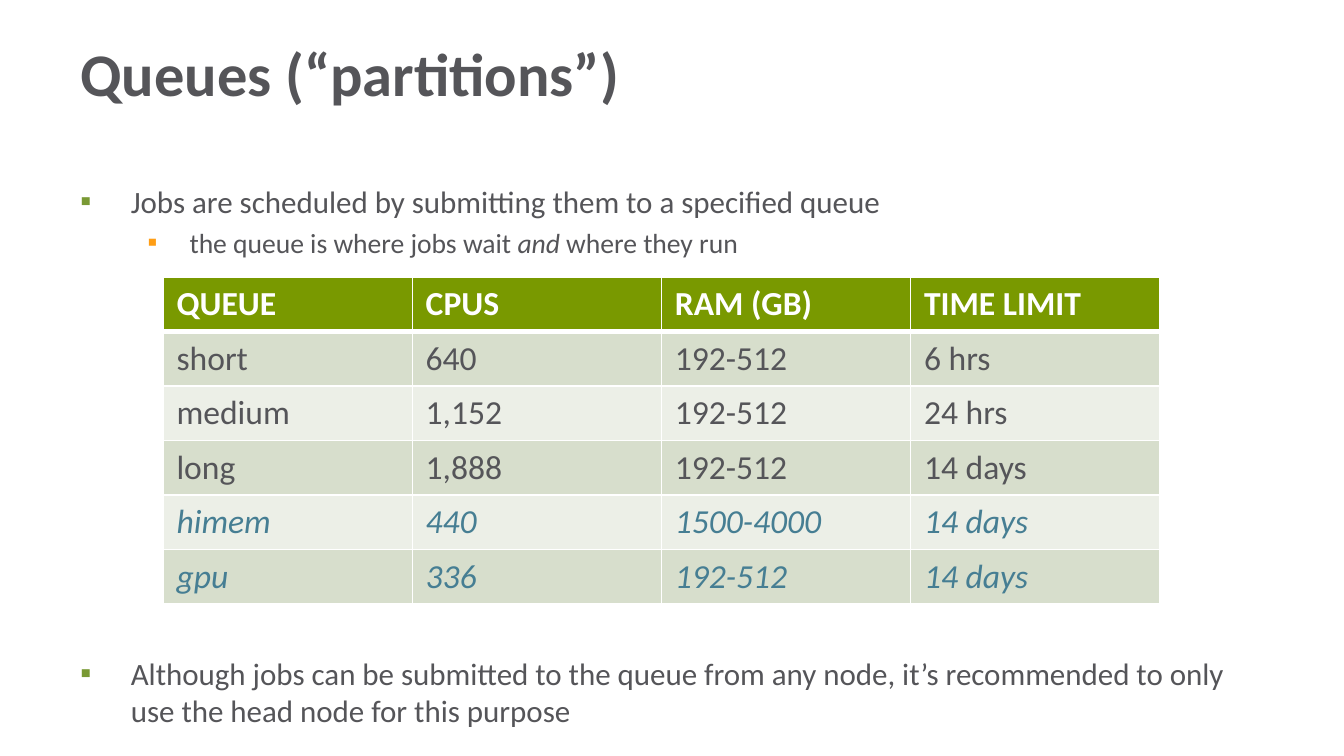
from lxml import etree
from pptx import Presentation
from pptx import util as u
from pptx.dml.color import RGBColor
from pptx.enum import text
from pptx.oxml import ns

Pt = u.Pt
HUES = {"ink": "555559", "white": "FFFFFF", "head": "799900", "dark": "D7DECC",
        "light": "ECEFE7", "teal": "467E93", "green": "799934", "gold": "FF9E15"}


def style(run, size, hue="ink", bold=False, italic=False):
    font = run.font
    font.name, font.size = "Calibri", Pt(size)
    font.bold, font.italic = bold, italic
    font.color.rgb = RGBColor.from_string(HUES[hue])


def add(node, tag, **attrs):
    """Append a drawing element to node and return it."""
    return etree.SubElement(node, ns.qn("a:" + tag), attrs)


deck = Presentation()
deck.slide_width, deck.slide_height = Pt(720), Pt(405)
slide = deck.slides.add_slide(deck.slide_layouts[6])

# Title
title = slide.shapes.add_textbox(Pt(36), Pt(17.3), Pt(580), Pt(43.2)).text_frame
title.word_wrap = True
title.vertical_anchor = text.MSO_ANCHOR.MIDDLE
title.text = "Queues (“partitions”)"
style(title.paragraphs[0].runs[0], 32.4, bold=True)

# Bullets: level, space before, size, hue, indent, hang, runs (odd ones italic).
# The last space leaves room for the table.
points = [
    (0, 0, 16.6, "green", 27, 27,
     ["Jobs are scheduled by submitting them to a specified queue"]),
    (1, 3, 14.8, "gold", 58.5, 22.5,
     ["the queue is where jobs wait ", "and", " where they run"]),
    (0, 212, 16.6, "green", 27, 27,
     ["Although jobs can be submitted to the queue from any node, "
      "it’s recommended to only use the head node for this purpose"]),
]
body = slide.shapes.add_textbox(Pt(36), Pt(94.3), Pt(648), Pt(304)).text_frame
body.word_wrap = True
for i, (level, space, size, hue, left, hang, parts) in enumerate(points):
    para = body.add_paragraph() if i else body.paragraphs[0]
    para.level = level
    para.space_before = Pt(space)
    for j, part in enumerate(parts):
        run = para.add_run()
        run.text = part
        style(run, size, italic=j % 2 == 1)
    props = para._p.get_or_add_pPr()
    props.set("marL", str(Pt(left)))
    props.set("indent", str(-Pt(hang)))
    add(add(props, "buClr"), "srgbClr", val=HUES[hue])
    add(props, "buFont", typeface="Calibri")
    add(props, "buChar", char="▪")

# Queue table
rows = [
    ("QUEUE", "CPUS", "RAM (GB)", "TIME LIMIT"),
    ("short", "640", "192-512", "6 hrs"),
    ("medium", "1,152", "192-512", "24 hrs"),
    ("long", "1,888", "192-512", "14 days"),
    ("himem", "440", "1500-4000", "14 days"),
    ("gpu", "336", "192-512", "14 days"),
]
table = slide.shapes.add_table(len(rows), 4, Pt(87.4), Pt(148.3),
                               Pt(534), Pt(175.2)).table
for r, row in enumerate(rows):
    head, special = r == 0, r >= 4
    fill = "head" if head else "dark" if r % 2 else "light"
    hue = "white" if head else "teal" if special else "ink"
    for c, word in enumerate(row):
        cell = table.cell(r, c)
        cell.text = word
        style(cell.text_frame.paragraphs[0].runs[0], 18, hue, head, special)
        props = cell._tc.get_or_add_tcPr()
        for side in "LRTB":
            thick = (r, side) in [(0, "B"), (1, "T")]
            line = add(props, "ln" + side, w=str(Pt(3 if thick else 1)))
            add(add(line, "solidFill"), "srgbClr", val=HUES["white"])
        cell.fill.solid()
        cell.fill.fore_color.rgb = RGBColor.from_string(HUES[fill])

deck.save("out.pptx")
